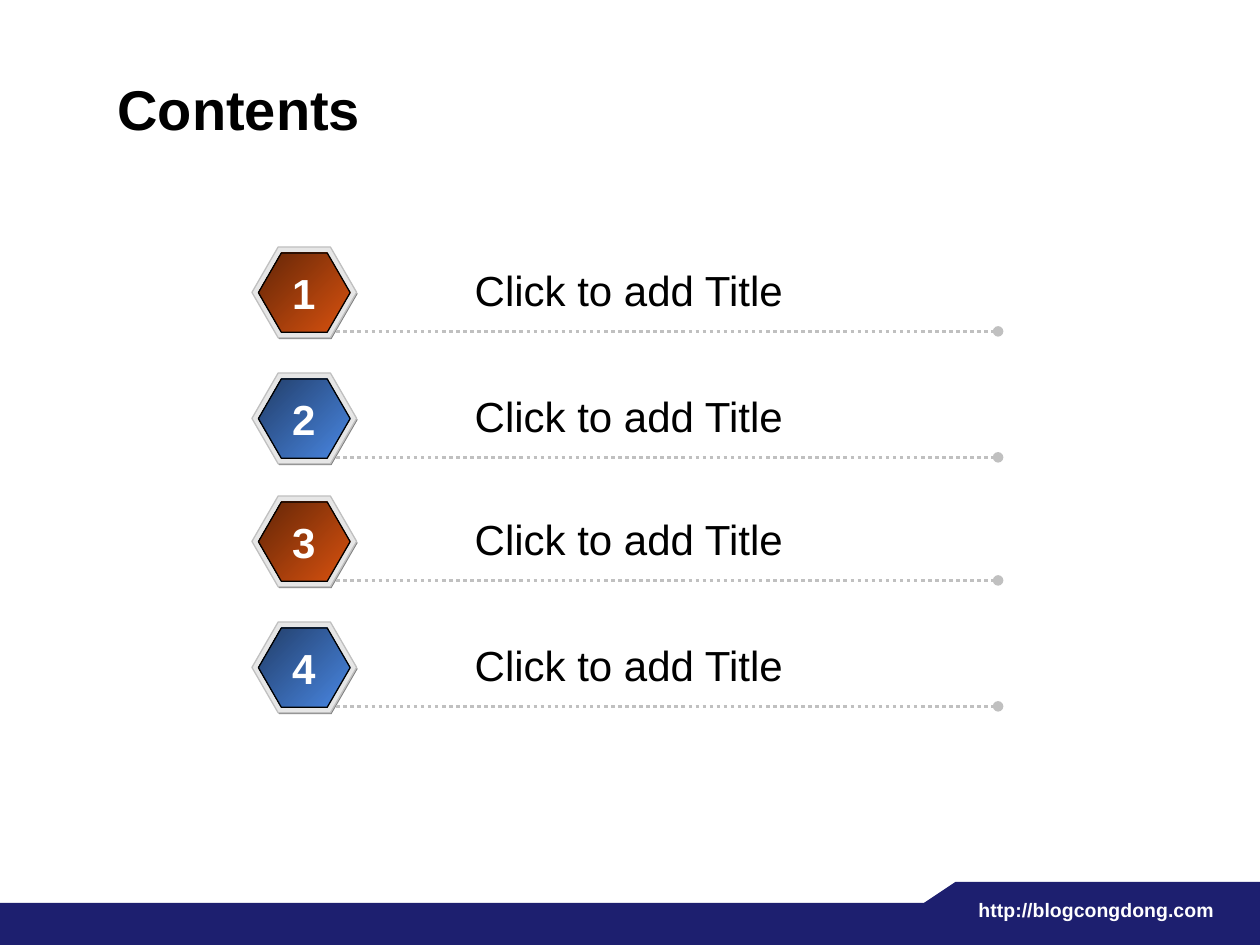
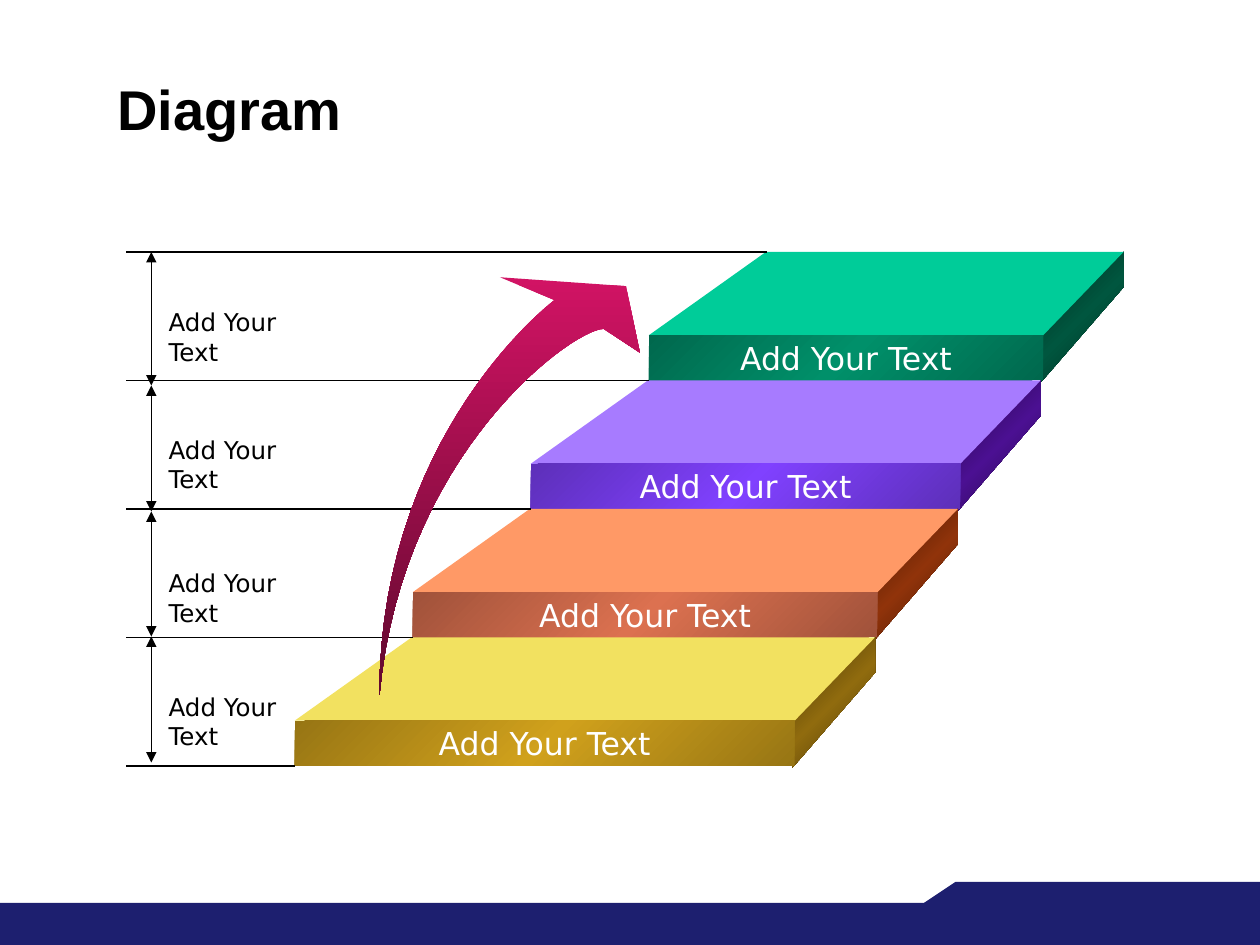
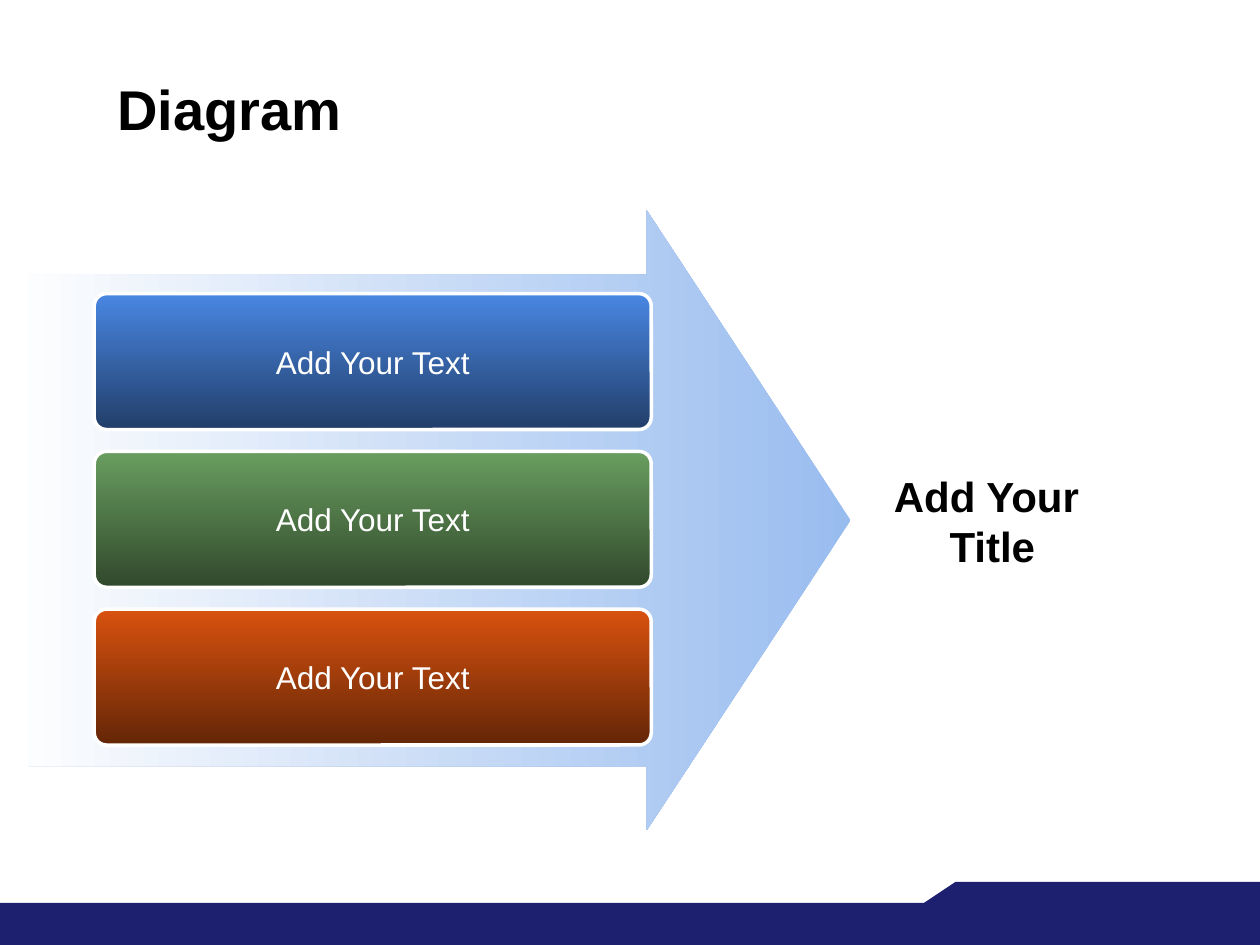
from copy import deepcopy

from lxml.etree import SubElement
from pptx import Presentation
from pptx.dml.color import RGBColor
from pptx.enum.dml import MSO_LINE
from pptx.enum.shapes import MSO_CONNECTOR, MSO_SHAPE as SHAPE
from pptx.enum.text import MSO_ANCHOR as ANCHOR, PP_ALIGN as ALIGN
from pptx.oxml.ns import qn
from pptx.util import Cm, Pt

COLORS = {
    "black": "000000", "white": "FFFFFF", "navy": "1D1F6F",
    "shadow": "808080", "silver": "C0C0C0", "pale": "E6E6E6",
    "orange": "D9520F", "dark orange": "642607",
    "blue": "4987E3", "dark blue": "223E69",
    "green": "699D5F", "dark green": "31492C",
    "light blue": "99BCEF", "mist": "FCFDFE",
    "pink": "D11364", "dark pink": "61092E",
    "step 1 top": "00CC99", "step 1 side": "00563F", "step 1 side edge": "00281D",
    "step 1 front": "00906A", "step 1 front edge": "00684D",
    "step 2 top": "A77BFF", "step 2 side": "4B1092", "step 2 side edge": "230744",
    "step 2 front": "8041FF", "step 2 front edge": "5D2FB9",
    "step 3 top": "FF9966", "step 3 side": "90330A", "step 3 side edge": "431805",
    "step 3 front": "DC7150", "step 3 front edge": "A0523A",
    "step 4 top": "F2E160", "step 4 side": "906B0E", "step 4 side edge": "433206",
    "step 4 front": "D0A11C", "step 4 front edge": "977514",
}
TITLE_FONT = {"name": "Arial", "size": Pt(32), "bold": True}
URL_FONT = {"name": "Arial", "size": Pt(11.1), "bold": True}
ITEM_FONT = {"name": "Arial", "size": Pt(24)}
STRONG_FONT = {"name": "Arial", "size": Pt(24), "bold": True}
BOX_FONT = {"name": "Arial", "size": Pt(18)}
STEP_FONT = {"name": "DejaVu Sans", "size": Pt(18)}
LABEL_FONT = {"name": "DejaVu Sans", "size": Pt(14)}


def decorate(shape, fill=None, line=None, width=0.75, ends=(), text="", font=None,
             color="black", align=ALIGN.LEFT, wrap=False):
    """Fill is a colour name, or a gradient as (clockwise angle, colour, colour, ...)."""
    if isinstance(fill, tuple):
        angle, *stops = fill
        shape.fill.gradient()
        shape.fill.gradient_angle = 360 - angle
        stop_list = shape._element.spPr.find(qn("a:gradFill")).find(qn("a:gsLst"))
        for _ in stops[2:]:
            stop_list.append(deepcopy(stop_list[0]))
        for index, (stop, name) in enumerate(zip(shape.fill.gradient_stops, stops)):
            stop.color.rgb = RGBColor.from_string(COLORS[name])
            stop.position = index / (len(stops) - 1)
    elif fill:
        shape.fill.solid()
        shape.fill.fore_color.rgb = RGBColor.from_string(COLORS[fill])
    elif hasattr(shape, "fill"):
        shape.fill.background()

    if line:
        shape.line.color.rgb = RGBColor.from_string(COLORS[line])
        shape.line.width = Pt(width)
        for tag, kind in ends:
            SubElement(shape.line._get_or_add_ln(), qn(tag), type=kind)
    else:
        shape.line.fill.background()
    SubElement(shape._element.spPr, qn("a:effectLst"))

    if text:
        frame = shape.text_frame
        frame.word_wrap = wrap
        frame.text = text
        for paragraph in frame.paragraphs:
            paragraph.alignment = align
            for name, value in font.items():
                setattr(paragraph.font, name, value)
            paragraph.font.color.rgb = RGBColor.from_string(COLORS[color])


def add_outline(slide, points, fill):
    """Draw a closed polygon through points given in centimetres."""
    start, *others = [(Cm(x), Cm(y)) for x, y in points]
    builder = slide.shapes.build_freeform(*start)
    builder.add_line_segments(others, close=True)
    decorate(builder.convert_to_shape(), fill)


presentation = Presentation()
presentation.slide_width, presentation.slide_height = Cm(25.4), Cm(19.05)

# Shared footer band and title
slides = []
for title in ("Contents", "Diagram", "Diagram"):
    slide = presentation.slides.add_slide(presentation.slide_layouts[6])
    band = slide.shapes.add_shape(SHAPE.RECTANGLE, 0, Cm(18.2), Cm(25.4), Cm(0.85))
    decorate(band, "navy")
    add_outline(slide, [(18.63, 18.2), (19.26, 17.78), (25.4, 17.78), (25.4, 18.42),
                        (18.63, 18.42)], "navy")
    title_box = slide.shapes.add_textbox(Cm(2.12), Cm(1.4), Cm(21.8), Cm(1.57))
    title_box.text_frame.vertical_anchor = ANCHOR.MIDDLE
    decorate(title_box, text=title, font=TITLE_FONT, wrap=True)
    slides.append(slide)
contents, stairs, process = slides

# Contents: numbered hexagons with dotted rules
url_box = contents.shapes.add_textbox(Cm(18.85), Cm(17.98), Cm(5.87), Cm(0.74))
decorate(url_box, text="http://blogcongdong.com", font=URL_FONT, color="white",
         align=ALIGN.RIGHT, wrap=True)
for index, top in enumerate((4.98, 7.52, 10.0, 12.54)):
    hue = ("orange", "blue")[index % 2]
    for left, drop, width, height, fill, line in (
            (5.1, 0.03, 2.11, 1.83, "shadow", None),
            (5.08, 0, 2.11, 1.83, "pale", "silver"),
            (5.21, 0.12, 1.85, 1.6, (225, hue, "dark " + hue), "black")):
        hexagon = contents.shapes.add_shape(SHAPE.HEXAGON, Cm(left), Cm(top + drop),
                                            Cm(width), Cm(height))
        hexagon.adjustments[0] = 0.289
        decorate(hexagon, fill, line)
    rule = contents.shapes.add_connector(MSO_CONNECTOR.STRAIGHT, Cm(6.78), Cm(top + 1.7),
                                         Cm(20.12), Cm(top + 1.7))
    rule.line.dash_style = MSO_LINE.ROUND_DOT
    decorate(rule, line="silver", width=2, ends=[("a:tailEnd", "oval")])
    item = contents.shapes.add_textbox(Cm(9.32), Cm(top + 0.23), Cm(6.76), Cm(1.27))
    decorate(item, text="Click to add Title", font=ITEM_FONT)
    number = contents.shapes.add_textbox(Cm(5.64), Cm(top + 0.28), Cm(0.97), Cm(1.27))
    decorate(number, text=str(index + 1), font=STRONG_FONT, color="white",
             align=ALIGN.CENTER)

# Stairs: each step is a side, a top and a front
RISE, DEPTH = 2.59, 1.68
levels = [5.08 + RISE * index for index in range(5)]
for index, level in enumerate(levels[:-1]):
    name = f"step {index + 1}"
    left, width = 13.08 - 2.38 * index, 7.95 + 0.71 * index
    right, ledge = left + width, level + DEPTH
    back_left, back_right = left + 2.36, right + 1.62
    side_fill, front_fill = (
        (225, f"{name} {face} edge", f"{name} {face}", f"{name} {face} edge")
        for face in ("side", "front"))
    add_outline(stairs, [(back_right, level + 0.71), (right - 0.04, level + 2.62),
                         (right - 0.04, ledge), (back_right, level)], side_fill)
    add_outline(stairs, [(right, ledge), (left, ledge), (back_left, level),
                         (back_right, level)], name + " top")
    front = stairs.shapes.add_shape(SHAPE.RECTANGLE, Cm(left), Cm(ledge), Cm(width),
                                    Cm(RISE - DEPTH))
    decorate(front, front_fill, text="Add Your Text", font=STEP_FONT, color="white",
             align=ALIGN.CENTER)

guides = [(15.46 - 2.38 * index, level, 2.54, level, ())
          for index, level in enumerate(levels)]
marks = (5.08, 7.77, 10.31, 12.83, 15.37)
both_ends = (("a:headEnd", "triangle"), ("a:tailEnd", "triangle"))
spans = [(3.05, start, 3.05, end, both_ends) for start, end in zip(marks, marks[1:])]
for *ends_at, arrowheads in guides + spans:
    connector = stairs.shapes.add_connector(MSO_CONNECTOR.STRAIGHT, *map(Cm, ends_at))
    decorate(connector, line="black", ends=arrowheads)

# Rising arrow: outer curve, head, inner curve back to the tail
fractions = [index / 30 for index in range(31)]
outer = [(7.65 + 3.53 * (3 * t**2 - 2 * t**3), 6.05 + 7.97 * (1 - t)**2)
         for t in fractions]
head = [(10.08, 5.59), (12.62, 5.77), (12.9, 7.11)]
inner = [(12.17 - 4.52 * (0.4 * t + 1.9 * t**2 - 1.3 * t**3), 6.63 + 7.39 * t**2)
         for t in fractions]
add_outline(stairs, outer + head + inner, (90, "pink", "dark pink"))

for top in (6.07, 8.64, 11.33, 13.82):
    label = stairs.shapes.add_textbox(Cm(3.15), Cm(top), Cm(3.6), Cm(0.86))
    decorate(label, text="Add Your Text", font=LABEL_FONT, wrap=True)

# Process: three boxes on a block arrow that points to the result
arrow = process.shapes.add_shape(SHAPE.RIGHT_ARROW, Cm(0.56), Cm(4.24), Cm(16.59), Cm(12.5))
arrow.adjustments[0], arrow.adjustments[1] = 0.793, 0.329
decorate(arrow, (180, "light blue", "mist"))
for index, hue in enumerate(("blue", "green", "orange")):
    box = process.shapes.add_shape(SHAPE.ROUNDED_RECTANGLE, Cm(1.9), Cm(5.92 + 3.18 * index),
                                   Cm(11.23), Cm(2.74))
    box.adjustments[0] = 0.091
    decorate(box, (90, hue, "dark " + hue), "white", 2, text="Add Your Text",
             font=BOX_FONT, color="white", align=ALIGN.CENTER)
result = process.shapes.add_shape(SHAPE.ROUNDED_RECTANGLE, Cm(16.51), Cm(8.69), Cm(6.99),
                                  Cm(3.61))
result.adjustments[0] = 0.091
decorate(result, text="Add Your \nTitle", font=STRONG_FONT, align=ALIGN.CENTER, wrap=True)

presentation.save("out.pptx")
